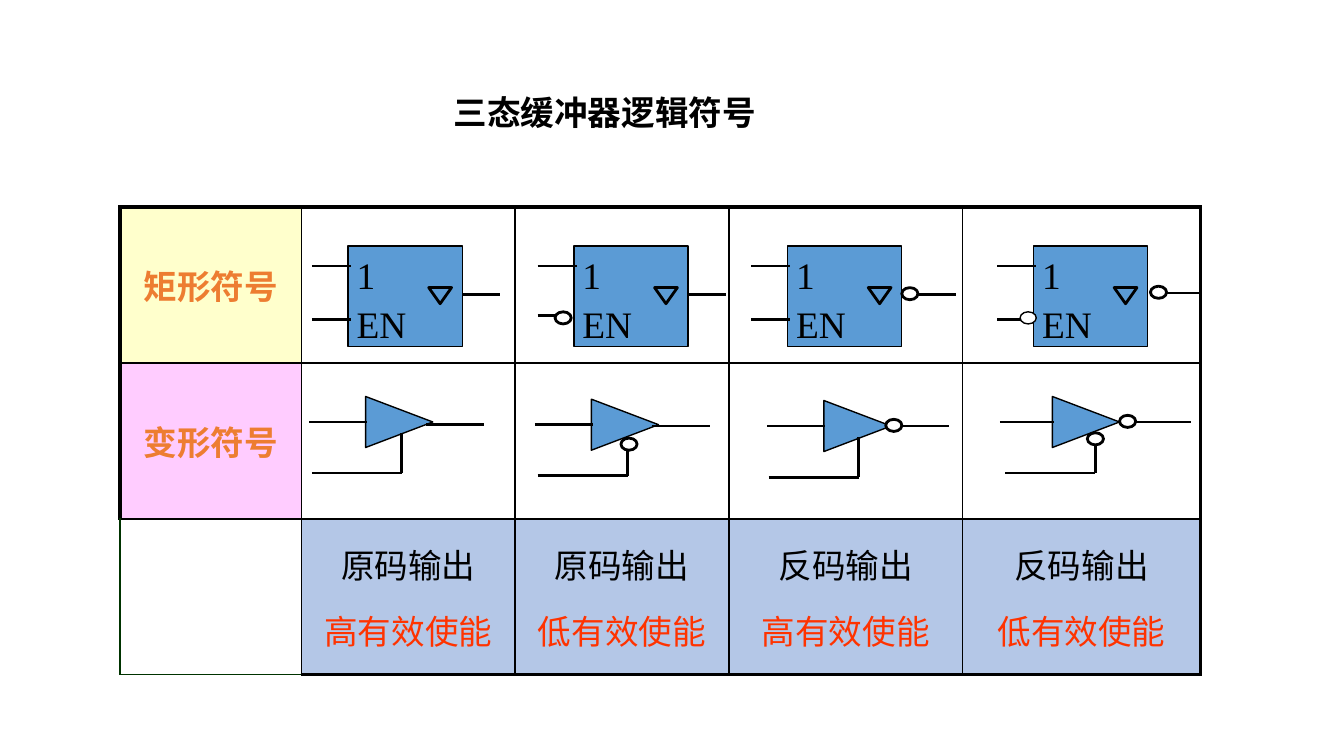
from dataclasses import dataclass

from lxml.etree import SubElement
from pptx import Presentation
from pptx.dml.color import RGBColor
from pptx.enum.shapes import MSO_CONNECTOR, MSO_SHAPE
from pptx.enum.text import MSO_ANCHOR, MSO_AUTO_SIZE, PP_ALIGN
from pptx.oxml.ns import qn
from pptx.util import Inches, Pt

SLIDE_WIDTH = Inches(10)
SLIDE_HEIGHT = SLIDE_WIDTH * 9 // 16
UNIT = SLIDE_WIDTH / 100  # side of one square of the slide grid

BLACK = RGBColor(0x00, 0x00, 0x00)
WHITE = RGBColor(0xFF, 0xFF, 0xFF)
BLUE = RGBColor(0x5B, 0x9B, 0xD5)
PALE_BLUE = RGBColor(0xB4, 0xC7, 0xE7)
YELLOW = RGBColor(0xFF, 0xFF, 0xCC)
PINK = RGBColor(0xFF, 0xCC, 0xFF)
ORANGE = RGBColor(0xED, 0x7D, 0x31)
RED = RGBColor(0xFF, 0x33, 0x00)
GREEN = RGBColor(0x00, 0x33, 0x00)

CJK, SERIF = "Noto Sans CJK JP", "Times New Roman"
TITLE = {"name": CJK, "size": Pt(18), "bold": True, "color": BLACK}
LABEL = TITLE | {"color": ORANGE}
OUTPUT = TITLE | {"bold": False}
ENABLE = OUTPUT | {"color": RED}
PIN = {"name": SERIF, "size": Pt(20), "color": BLACK}

THIN, WIRE, THICK = 0.75, 1.5, 2.25
COLUMNS = (13.5, 15.9, 15.9, 17.4, 17.7)
ROW_HEIGHT = 11.6
BUBBLE_WIDTH, BUBBLE_HEIGHT = 1.2, 0.9


@dataclass(frozen=True)
class Block:
    """Rectangular symbol; the output and enable places count from its left edge."""
    left: float
    output_start: float = 8.5
    output_row: float = 21.9
    output_bubble: float | None = None
    enable_end: float = 0.2
    enable_row: float = 23.8
    enable_bubble: float | None = None
    enable_bubble_line: float = WIRE


@dataclass(frozen=True)
class Gate:
    """Triangular symbol; the other places count from its left edge and top."""
    left: float
    top: float
    input_start: float = -4.2
    output_start: float = 4.5
    output_end: float = 8.8
    output_row: float = 2.1
    output_bubble: float | None = None
    enable_column: float = 2.7
    enable_top: float = 2.7
    enable_bubble: tuple[float, float] | None = None


@dataclass(frozen=True)
class Buffer:
    output: str
    enable: str
    block: Block
    gate: Gate


BUFFERS = (
    Buffer("原码输出", "高有效使能", Block(25.9), Gate(27.2, 29.5)),
    Buffer("原码输出", "低有效使能",
           Block(42.7, enable_end=-0.6, enable_row=23.5, enable_bubble=-1.4),
           Gate(44, 29.7, output_row=2, enable_top=3.7, enable_bubble=(2.2, 2.9))),
    Buffer("反码输出", "高有效使能",
           Block(58.6, output_start=9.7, output_bubble=8.5),
           Gate(61.3, 29.8, output_start=5.9, output_end=9.3, output_row=1.9,
                output_bubble=4.6, enable_column=2.6)),
    Buffer("反码输出", "低有效使能",
           Block(76.9, output_start=9.5, output_row=21.8, output_bubble=8.7,
                 enable_bubble=-1, enable_bubble_line=THIN),
           Gate(78.3, 29.5, input_start=-3.9, output_start=6, output_end=10.3,
                output_row=1.9, output_bubble=5, enable_column=3.2,
                enable_top=3.6, enable_bubble=(2.6, 2.7))),
)


def grid(*counts: float) -> list[int]:
    return [round(count * UNIT) for count in counts]


def write(para, text: str, font_format: dict) -> None:
    span = para.add_run()
    span.text = text
    for name, value in font_format.items():
        if name == "color":
            span.font.color.rgb = value
        else:
            setattr(span.font, name, value)
    SubElement(span.font._element, qn("a:ea"), typeface=font_format["name"])


def add_text(page, left: float, top: float, width: float, height: float,
             text: str, font_format: dict) -> None:
    box = page.shapes.add_textbox(*grid(left, top, width, height))
    box.text_frame.word_wrap = True
    box.text_frame.auto_size = MSO_AUTO_SIZE.NONE
    write(box.text_frame.paragraphs[0], text, font_format)


def add_figure(page, kind, left: float, top: float, width: float, height: float,
               fill=None, line: float = WIRE, rotation: float = 0) -> None:
    figure = page.shapes.add_shape(kind, *grid(left, top, width, height))
    figure.shadow.inherit = False
    figure.rotation = rotation
    if fill is None:
        figure.fill.background()
    else:
        figure.fill.solid()
        figure.fill.fore_color.rgb = fill
    figure.line.color.rgb = BLACK
    figure.line.width = Pt(line)


def add_wire(page, x1: float, y1: float, x2: float, y2: float) -> None:
    wire = page.shapes.add_connector(MSO_CONNECTOR.STRAIGHT, *grid(x1, y1, x2, y2))
    wire.line.color.rgb = BLACK
    wire.line.width = Pt(WIRE)
    SubElement(wire._element.spPr, qn("a:effectLst"))


def add_bubble(page, left: float, top: float, line: float = WIRE) -> None:
    add_figure(page, MSO_SHAPE.OVAL, left, top, BUBBLE_WIDTH, BUBBLE_HEIGHT, WHITE, line)


def draw_block(page, block: Block) -> None:
    x = block.left
    add_figure(page, MSO_SHAPE.RECTANGLE, x, 18.3, 8.5, 7.5, BLUE, THIN)
    add_wire(page, x - 2.7, 19.8, x + 0.2, 19.8)
    add_wire(page, x - 2.7, block.enable_row, x + block.enable_end, block.enable_row)
    start = x + block.output_start
    add_wire(page, start, block.output_row, start + 2.8, block.output_row)
    add_text(page, x - 0.35, 18.3, 4.2, 4.4, "1", PIN)
    add_text(page, x - 0.35, 21.9, 5.8, 4.4, "EN", PIN)
    add_figure(page, MSO_SHAPE.ISOSCELES_TRIANGLE, x + 6, 21.4, 1.7, 1.2, rotation=180)
    if block.output_bubble is not None:
        add_bubble(page, x + block.output_bubble, block.output_row - 0.5)
    if block.enable_bubble is not None:
        add_bubble(page, x + block.enable_bubble, 23.2, block.enable_bubble_line)


def draw_gate(page, gate: Gate) -> None:
    x, y = gate.left, gate.top
    enable, corner = x + gate.enable_column, y + 5.7
    add_figure(page, MSO_SHAPE.ISOSCELES_TRIANGLE, x + 0.6, y - 0.6, 3.8, 5,
               BLUE, THIN, 90)
    add_wire(page, x + gate.input_start, y + 1.9, x + 0.1, y + 1.9)
    add_wire(page, x + gate.output_start, y + gate.output_row,
             x + gate.output_end, y + gate.output_row)
    add_wire(page, enable, y + gate.enable_top, enable, corner)
    add_wire(page, enable - 6.7, corner, enable, corner)
    if gate.output_bubble is not None:
        add_bubble(page, x + gate.output_bubble, y + 1.4)
    if gate.enable_bubble is not None:
        column, row = gate.enable_bubble
        add_bubble(page, x + column, y + row)


def set_borders(cell, borders: dict) -> None:
    """Draw the sides L, R, T and B, each given as a width and a colour."""
    properties = cell._tc.get_or_add_tcPr()
    for index, (side, (width, color)) in enumerate(borders.items()):
        line = SubElement(properties, qn(f"a:ln{side}"), w=str(Pt(width)))
        fill = SubElement(line, qn("a:solidFill"))
        SubElement(fill, qn("a:srgbClr"), val=str(color))
        properties.insert(index, line)


def fill_cell(cell, color, lines: list, space: float) -> None:
    cell.vertical_anchor = MSO_ANCHOR.MIDDLE
    if color is None:
        cell.fill.background()
    else:
        cell.fill.solid()
        cell.fill.fore_color.rgb = color
    frame = cell.text_frame
    for index, (text, font_format) in enumerate(lines):
        para = frame.add_paragraph() if index else frame.paragraphs[0]
        para.alignment = PP_ALIGN.CENTER
        para.space_before = Pt(space)
        write(para, text, font_format)


def draw_table(page) -> None:
    table = page.shapes.add_table(
        3, len(COLUMNS), *grid(8.93, 15.4, sum(COLUMNS), 3 * ROW_HEIGHT)).table
    table.first_row = table.horz_banding = False
    for column, width in zip(table.columns, COLUMNS):
        column.width = grid(width)[0]
    last = len(COLUMNS) - 1
    for r, row in enumerate(table.rows):
        row.height = grid(ROW_HEIGHT)[0]
        for c, cell in enumerate(row.cells):
            color, lines, space = WHITE, [], 0
            if r == 2 and c:
                buffer = BUFFERS[c - 1]
                color, space = PALE_BLUE, 9
                lines = [(buffer.output, OUTPUT), (buffer.enable, ENABLE)]
            elif c == 0:
                color, text = ((YELLOW, "矩形符号"), (PINK, "变形符号"), (None, ""))[r]
                lines, space = [(text, LABEL)] if text else [], 3.6
            fill_cell(cell, color, lines, space)
            corner = (1, GREEN) if (r, c) == (2, 0) else None
            thin, thick = (1, BLACK), (THICK, BLACK)
            set_borders(cell, {
                "L": corner or (thin if c else thick),
                "R": thick if c == last else thin,
                "T": thin if r else thick,
                "B": corner or (thick if r == 2 else thin),
            })


def main() -> None:
    deck = Presentation()
    deck.slide_width, deck.slide_height = SLIDE_WIDTH, SLIDE_HEIGHT
    page = deck.slides.add_slide(deck.slide_layouts[6])
    add_text(page, 32.75, 6.35, 26.9, 4.1, "三态缓冲器逻辑符号", TITLE)
    draw_table(page)
    for buffer in BUFFERS:
        draw_block(page, buffer.block)
        draw_gate(page, buffer.gate)
    deck.save("out.pptx")


if __name__ == "__main__":
    main()
